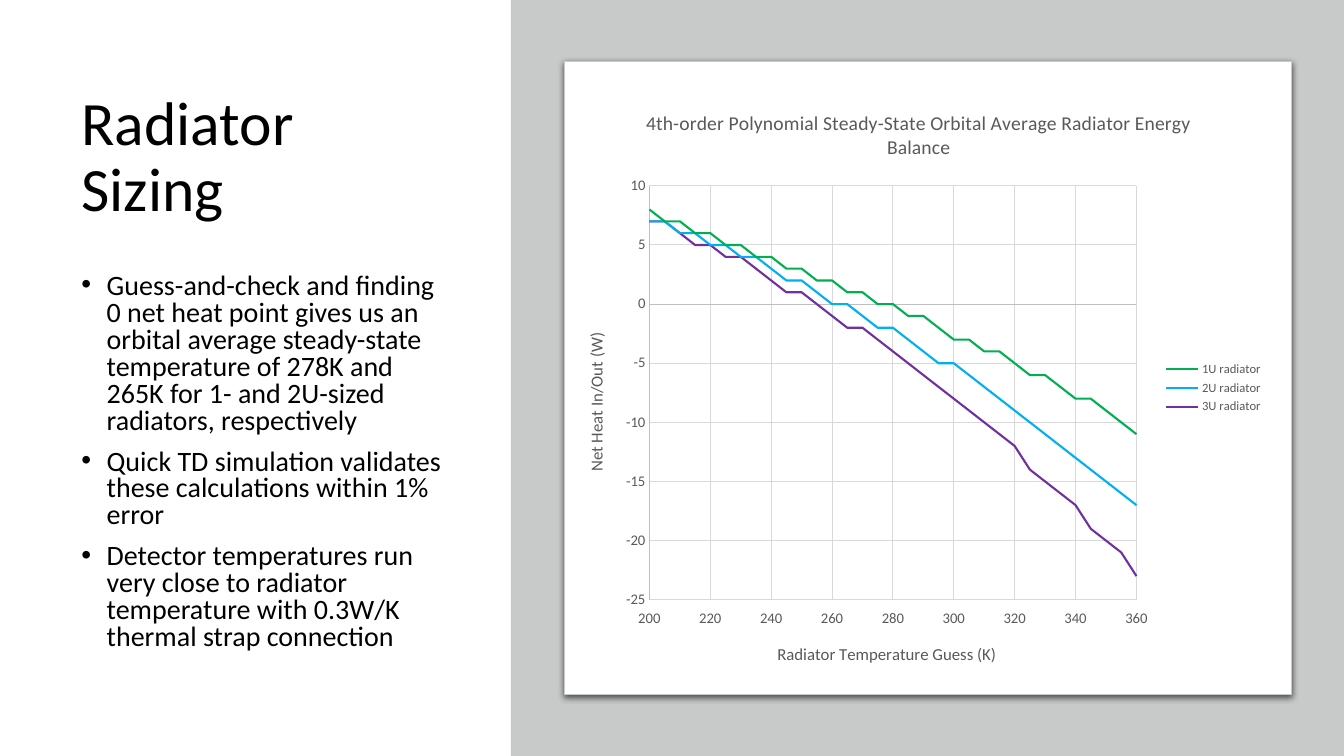
from dataclasses import dataclass

from lxml import etree
from pptx import Presentation
from pptx.chart.data import XyChartData
from pptx.dml.color import RGBColor
from pptx.enum.chart import XL_CHART_TYPE, XL_LEGEND_POSITION, XL_TICK_LABEL_POSITION, XL_TICK_MARK
from pptx.enum.shapes import MSO_SHAPE
from pptx.enum.text import MSO_ANCHOR, MSO_AUTO_SIZE, PP_ALIGN
from pptx.oxml import parse_xml
from pptx.oxml.ns import nsdecls, qn
from pptx.util import Pt

SCATTER = XL_CHART_TYPE.XY_SCATTER_SMOOTH_NO_MARKERS
RIGHT = XL_LEGEND_POSITION.RIGHT
LOW, NEXT_TO_AXIS = XL_TICK_LABEL_POSITION.LOW, XL_TICK_LABEL_POSITION.NEXT_TO_AXIS
NO_TICK = XL_TICK_MARK.NONE
RECTANGLE = MSO_SHAPE.RECTANGLE
MIDDLE, TOP = MSO_ANCHOR.MIDDLE, MSO_ANCHOR.TOP
NO_AUTOFIT = MSO_AUTO_SIZE.NONE
LEFT = PP_ALIGN.LEFT

FONT = "Calibri"
COLORS = {
    "white": "FFFFFF",
    "black": "000000",
    "panel": "C8CACA",
    "label": "595959",
    "axis": "BFBFBF",
    "grid": "D9D9D9",
    "green": "00B050",
    "blue": "00B0F0",
    "purple": "7030A0",
}
TEMPERATURES = range(200, 361, 5)
FINDINGS = [
    "Guess-and-check and finding 0 net heat point gives us an orbital average steady-state "
    "temperature of 278K and 265K for 1- and 2U-sized radiators, respectively",
    "Quick TD simulation validates these calculations within 1% error",
    "Detector temperatures run very close to radiator temperature with 0.3W/K thermal strap connection",
]


@dataclass
class Box:
    left: float
    top: float
    width: float
    height: float

    def points(self) -> tuple:
        return Pt(self.left), Pt(self.top), Pt(self.width), Pt(self.height)


@dataclass
class Radiator:
    name: str
    color: str
    heat_at_200: float
    conduction: float
    radiation: float

    def net_heat(self, temperature: int) -> int:
        conducted = self.conduction * (temperature - 200)
        radiated = self.radiation * ((temperature / 100) ** 4 - 16)
        return round(self.heat_at_200 - conducted - radiated)


@dataclass
class AxisStyle:
    title: str
    minimum: float
    maximum: float
    step: float
    label_position: XL_TICK_LABEL_POSITION


RADIATORS = [
    Radiator("1U radiator", "green", 7.5, 0.0742, 0.041),
    Radiator("2U radiator", "blue", 7.35, 0.0753, 0.0793),
    Radiator("3U radiator", "purple", 7.2, 0.0725, 0.1221),
]
TEMPERATURE_AXIS = AxisStyle("Radiator Temperature Guess (K)", 200, 360, 20, LOW)
HEAT_AXIS = AxisStyle("Net Heat In/Out (W)", -25, 10, 5, NEXT_TO_AXIS)


def rgb(name: str) -> RGBColor:
    return RGBColor.from_string(COLORS[name])


def style_font(font, size: float, color: str) -> None:
    font.name = FONT
    font.size = Pt(size)
    font.bold = False
    font.color.rgb = rgb(color)


def style_line(line, color: str, width: float) -> None:
    line.color.rgb = rgb(color)
    line.width = Pt(width)


def add_panel(slide, box: Box, fill: str):
    panel = slide.shapes.add_shape(RECTANGLE, *box.points())
    panel.shadow.inherit = False
    panel.fill.solid()
    panel.fill.fore_color.rgb = rgb(fill)
    panel.line.fill.background()
    return panel


def add_drop_shadow(card) -> None:
    effects = card._element.spPr.find(qn("a:effectLst"))
    effects.append(parse_xml(
        f'<a:outerShdw {nsdecls("a")} blurRad="{Pt(4.5)}" dist="{Pt(1.5)}" dir="5400000" algn="ctr" '
        f'rotWithShape="0"><a:srgbClr val="{COLORS["black"]}"><a:alpha val="63000"/></a:srgbClr></a:outerShdw>'
    ))


def fill_placeholder(placeholder, box: Box, lines: list[str], size: float, spacing: float, anchor):
    placeholder.left, placeholder.top, placeholder.width, placeholder.height = box.points()
    frame = placeholder.text_frame
    frame.text = "\n".join(lines)
    frame.word_wrap = True
    frame.auto_size = NO_AUTOFIT
    frame.vertical_anchor = anchor
    for index, paragraph in enumerate(frame.paragraphs):
        paragraph.alignment = LEFT
        paragraph.line_spacing = spacing
        paragraph.space_before = Pt(10 if index else 0)
        style_font(paragraph.font, size, "black")
    return frame


def indent_bullets(frame) -> None:
    for paragraph in frame.paragraphs:
        properties = paragraph._p.get_or_add_pPr()
        properties.set("marL", str(Pt(18)))
        properties.set("indent", str(-Pt(18)))


def set_title(title, text: str, size: float) -> None:
    title.text_frame.text = text
    style_font(title.text_frame.paragraphs[0].font, size, "label")


def style_axis(axis, style: AxisStyle) -> None:
    set_title(axis.axis_title, style.title, 12)
    axis.minimum_scale = style.minimum
    axis.maximum_scale = style.maximum
    axis.major_unit = style.step
    axis.major_tick_mark = NO_TICK
    axis.minor_tick_mark = NO_TICK
    axis.tick_label_position = style.label_position
    axis.tick_labels.number_format = "General"
    axis.tick_labels.number_format_is_linked = False
    style_font(axis.tick_labels.font, 10.5, "label")
    style_line(axis.format.line, "axis", 0.75)
    axis.has_major_gridlines = True
    style_line(axis.major_gridlines.format.line, "grid", 0.75)


def place_manually(parent, settings: dict) -> None:
    layout = parent.find(qn("c:layout"))
    if layout is None:
        layout = parse_xml(f'<c:layout {nsdecls("c")}/>')
        text = parent.find(qn("c:tx"))
        parent.insert(0 if text is None else 1, layout)
    manual = etree.SubElement(layout, qn("c:manualLayout"))
    for tag, value in settings.items():
        etree.SubElement(manual, qn(f"c:{tag}")).set("val", str(value))


def add_energy_chart(slide, box: Box, title_left: float, title_top: float, plot: Box) -> None:
    balance = XyChartData()
    for radiator in RADIATORS:
        curve = balance.add_series(radiator.name)
        for temperature in TEMPERATURES:
            curve.add_data_point(temperature, radiator.net_heat(temperature))
    chart = slide.shapes.add_chart(SCATTER, *box.points(), balance).chart
    style_font(chart.font, 10, "black")
    set_title(chart.chart_title, "4th-order Polynomial Steady-State Orbital Average Radiator Energy Balance", 14)
    style_axis(chart.category_axis, TEMPERATURE_AXIS)
    style_axis(chart.value_axis, HEAT_AXIS)
    chart.has_legend = True
    chart.legend.position = RIGHT
    chart.legend.include_in_layout = False
    style_font(chart.legend.font, 9, "label")
    chart.plots[0].vary_by_categories = False
    for curve, radiator in zip(chart.plots[0].series, RADIATORS):
        curve.smooth = True
        style_line(curve.format.line, radiator.color, 1.5)
    edges = {"xMode": "edge", "yMode": "edge"}
    place_manually(chart.chart_title._element,
                   edges | {"x": title_left / box.width, "y": title_top / box.height})
    place_manually(chart._chartSpace.chart.plotArea, {"layoutTarget": "inner"} | edges | {
        "x": plot.left / box.width, "y": plot.top / box.height,
        "w": plot.width / box.width, "h": plot.height / box.height})


def main() -> None:
    deck = Presentation()
    deck.slide_width, deck.slide_height = Pt(960), Pt(540)
    slide = deck.slides.add_slide(deck.slide_layouts[1])
    title, findings = slide.placeholders
    fill_placeholder(title, Box(51, 49.7, 275.8, 127.4), ["Radiator Sizing"], 44, 0.9, MIDDLE)
    indent_bullets(fill_placeholder(findings, Box(51, 192.2, 275.8, 298), FINDINGS, 20, 0.8, TOP))
    add_panel(slide, Box(365, 0, 595, 540), "panel")
    card = add_panel(slide, Box(403.2, 43.9, 519.1, 452.2), "white")
    style_line(card.line, "panel", 0.75)
    add_drop_shadow(card)
    add_energy_chart(slide, Box(403.2, 64.1, 506.2, 426.2), 55.7, 11.3, Box(60.7, 68.7, 347.9, 295.7))
    deck.save("out.pptx")


if __name__ == "__main__":
    main()
